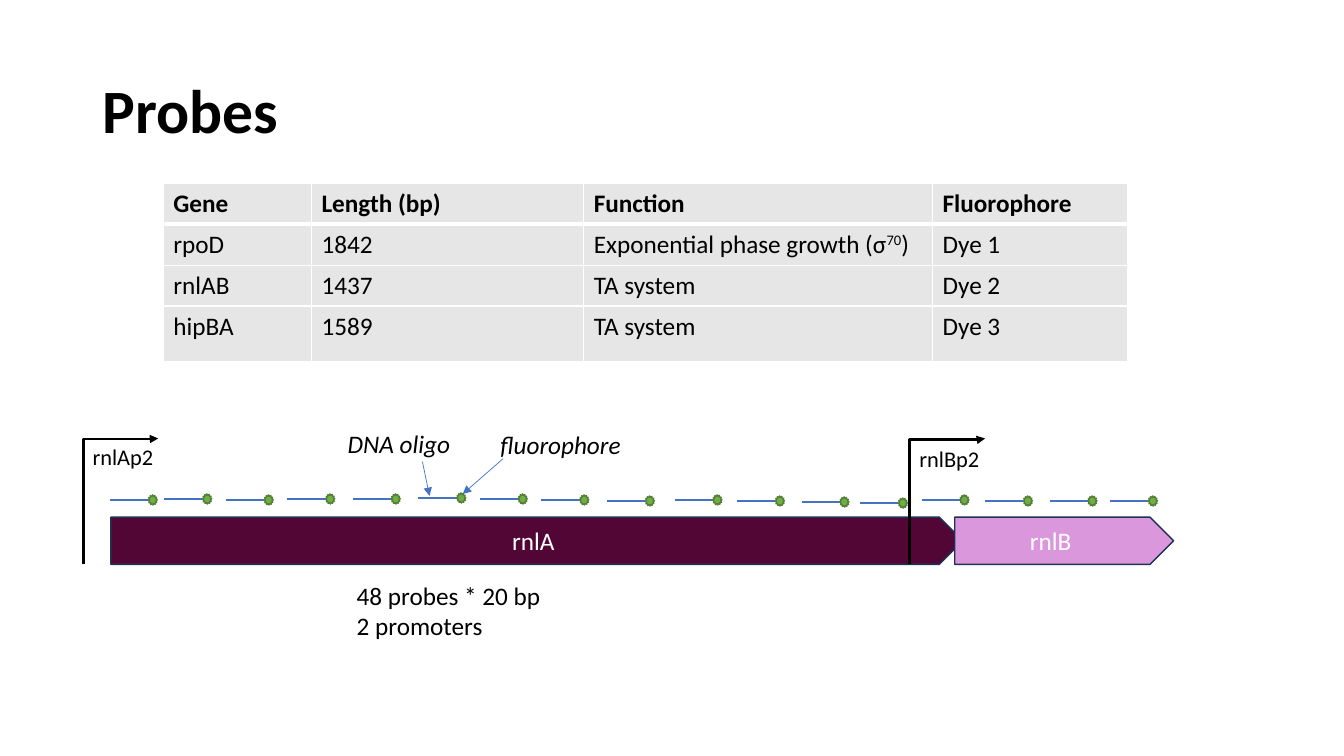
import pptx
import pptx.dml.color
import pptx.enum.shapes
import pptx.enum.text
import pptx.oxml
import pptx.oxml.ns
import pptx.util

EMU_PER_PX = 9144  # 100 px to the inch
SHAPES = pptx.enum.shapes.MSO_SHAPE
CONNECTORS = pptx.enum.shapes.MSO_CONNECTOR
LEFT = pptx.enum.text.PP_ALIGN.LEFT
CENTER = pptx.enum.text.PP_ALIGN.CENTER
MIDDLE = pptx.enum.text.MSO_ANCHOR.MIDDLE
TO_FIT = pptx.enum.text.MSO_AUTO_SIZE.SHAPE_TO_FIT_TEXT

BLACK, WHITE, GREY, BLUE = "000000", "FFFFFF", "E7E6E6", "4472C4"


def px(*lengths):
    return [pptx.util.Emu(round(length * EMU_PER_PX)) for length in lengths]


def color(hex_string):
    return pptx.dml.color.RGBColor.from_string(hex_string)


def add_xml(parent, tag, **attributes):
    element = pptx.oxml.parse_xml(f"<{tag} {pptx.oxml.ns.nsdecls('a')}/>")
    for name, value in attributes.items():
        element.set(name, str(value))
    parent.append(element)
    return element


class ProbeSlide:
    font_name = "Calibri"

    def __init__(self, presentation):
        self.slide = presentation.slides.add_slide(presentation.slide_layouts[5])
        self.shapes = self.slide.shapes

    def run(self, paragraph, text, size=18, hex_string=BLACK, bold=False,
            italic=False, superscript=False):
        run = paragraph.add_run()
        run.text = text
        run.font.name = self.font_name
        run.font.size = pptx.util.Pt(size)
        run.font.bold, run.font.italic = bold, italic
        run.font.color.rgb = color(hex_string)
        if superscript:
            run._r.get_or_add_rPr().set("baseline", "30000")

    def title(self, text, *box):
        title = self.shapes.title
        title.left, title.top, title.width, title.height = px(*box)
        title.text_frame.vertical_anchor = MIDDLE
        paragraph = title.text_frame.paragraphs[0]
        paragraph.alignment = LEFT
        paragraph.line_spacing = 0.9
        self.run(paragraph, text, 44, bold=True)

    def text(self, lines, *box, align=LEFT, **style):
        frame = self.shapes.add_textbox(*px(*box)).text_frame
        frame.word_wrap = True
        frame.auto_size = TO_FIT
        for index, line in enumerate(lines):
            paragraph = frame.add_paragraph() if index else frame.paragraphs[0]
            paragraph.alignment = align
            self.run(paragraph, line, **style)

    def table(self, rows, left, top, widths, heights):
        frame = self.shapes.add_table(
            len(rows), len(widths), *px(left, top, sum(widths), sum(heights)))
        table = frame.table
        table.horz_banding = False
        for column, width in zip(table.columns, widths):
            column.width = px(width)[0]
        for row, height in zip(table.rows, heights):
            row.height = px(height)[0]
        for row_index, row in enumerate(rows):
            for column_index, parts in enumerate(row):
                cell = table.cell(row_index, column_index)
                self.borders(cell, row_index)
                cell.fill.solid()
                cell.fill.fore_color.rgb = color(GREY)
                for part_index, part in enumerate(parts):
                    self.run(cell.text_frame.paragraphs[0], part,
                             bold=row_index == 0, superscript=part_index == 1)

    def borders(self, cell, row_index):
        # The rule under the header is thicker
        widths = {"L": 1, "R": 1, "T": 3 if row_index == 1 else 1,
                  "B": 3 if row_index == 0 else 1}
        properties = cell._tc.get_or_add_tcPr()
        for side, width in widths.items():
            line = add_xml(properties, f"a:ln{side}", w=pptx.util.Pt(width))
            add_xml(add_xml(line, "a:solidFill"), "a:srgbClr", val=WHITE)

    def shape(self, kind, box, fill, outline, parent=None):
        shape = (parent or self).shapes.add_shape(kind, *px(*box))
        shape.shadow.inherit = False
        shape.fill.solid()
        shape.fill.fore_color.rgb = color(fill)
        shape.line.color.rgb = color(outline)
        shape.line.width = pptx.util.Pt(1)
        return shape

    def line(self, start, end, hex_string, width, arrow=False,
             kind=CONNECTORS.STRAIGHT, parent=None):
        connector = (parent or self).shapes.add_connector(kind, *px(*start, *end))
        connector.line.color.rgb = color(hex_string)
        connector.line.width = pptx.util.Pt(width)
        properties = connector._element.spPr
        if arrow:
            add_xml(properties.find(pptx.oxml.ns.qn("a:ln")), "a:tailEnd", type="triangle")
        add_xml(properties, "a:effectLst")
        return connector

    def gene(self, left, width, fill):
        arrow = self.shape(SHAPES.RIGHT_ARROW, (left, 513, width, 47), fill, "1E3256")
        arrow.adjustments[0], arrow.adjustments[1] = 1, 0.5

    def probe(self, x, y):
        group = self.shapes.add_group_shape()
        self.line((x, y), (x - 38, y), BLUE, 1.5, parent=group)
        star = self.shape(SHAPES.STAR_12_POINT, (x, y - 5, 9, 10), "70AD47", "538035", group)
        star.rotation = 177.1

    def promoter(self, x, tip, bend):
        # An elbow turned by a quarter: up from the gene, then right to the tip
        bottom, top = 560, 435
        middle_x, middle_y = (x + tip) / 2, (top + bottom) / 2
        half_width, half_height = (bottom - top) / 2, (tip - x) / 2
        connector = self.line((middle_x + half_width, middle_y + half_height),
                              (middle_x - half_width, middle_y - half_height),
                              BLACK, 2, True, CONNECTORS.ELBOW)
        properties = connector._element.spPr
        properties.find(pptx.oxml.ns.qn("a:xfrm")).set("rot", str(90 * 60000))
        guides = next(properties.iter(pptx.oxml.ns.qn("a:avLst")))
        add_xml(guides, "a:gd", name="adj1", fmla=f"val {bend}")


def main():
    presentation = pptx.Presentation()
    presentation.slide_width, presentation.slide_height = px(1333, 750)
    page = ProbeSlide(presentation)

    # Title and table of genes
    page.title("Probes", 92, 40, 1150, 145)
    rows = [
        [["Gene"], ["Length (bp)"], ["Function"], ["Fluorophore"]],
        [["rpoD"], ["1842"], ["Exponential phase growth (σ", "70", ")"], ["Dye 1"]],
        [["rnlAB"], ["1437"], ["TA system"], ["Dye 2"]],
        [["hipBA"], ["1589"], ["TA system"], ["Dye 3"]],
    ]
    page.table(rows, 162, 182, [147, 270, 346, 193], [40, 40, 40, 55])

    # Genes
    page.gene(110, 845, "520636")
    page.gene(947, 217, "DB97DB")
    for name, left in (("rnlA", 480), ("rnlB", 993)):
        page.text([name], left, 516, 98, 40, align=CENTER, hex_string=WHITE)

    # Probes: where each oligo meets its fluorophore
    for x, y in [(147, 496), (201, 495), (262, 496), (323, 495), (388, 495), (453, 494),
                 (514, 495), (575, 496), (640, 497), (707, 496), (769, 497), (833, 498),
                 (891, 499), (952, 496), (1015, 497), (1079, 497), (1139, 497)]:
        page.probe(x, y)
    page.text(["48 probes * 20 bp", "2 promoters"], 344, 571, 614, 71)

    # Promoters
    page.promoter(83, 157, 99600)
    page.promoter(902, 977, 99000)
    page.text(["rnlAp2"], 82, 435, 135, 37, size=16)
    page.text(["rnlBp2"], 902, 437, 109, 37, size=16)

    # Labels of one probe
    page.text(["DNA oligo"], 335, 420, 139, 40, italic=True)
    page.text(["fluorophore"], 468, 421, 176, 40, align=CENTER, italic=True)
    page.line((419, 458), (426, 492), BLUE, 0.5, arrow=True)
    page.line((499, 455), (459, 490), BLUE, 0.5, arrow=True)

    presentation.save("out.pptx")


if __name__ == "__main__":
    main()
